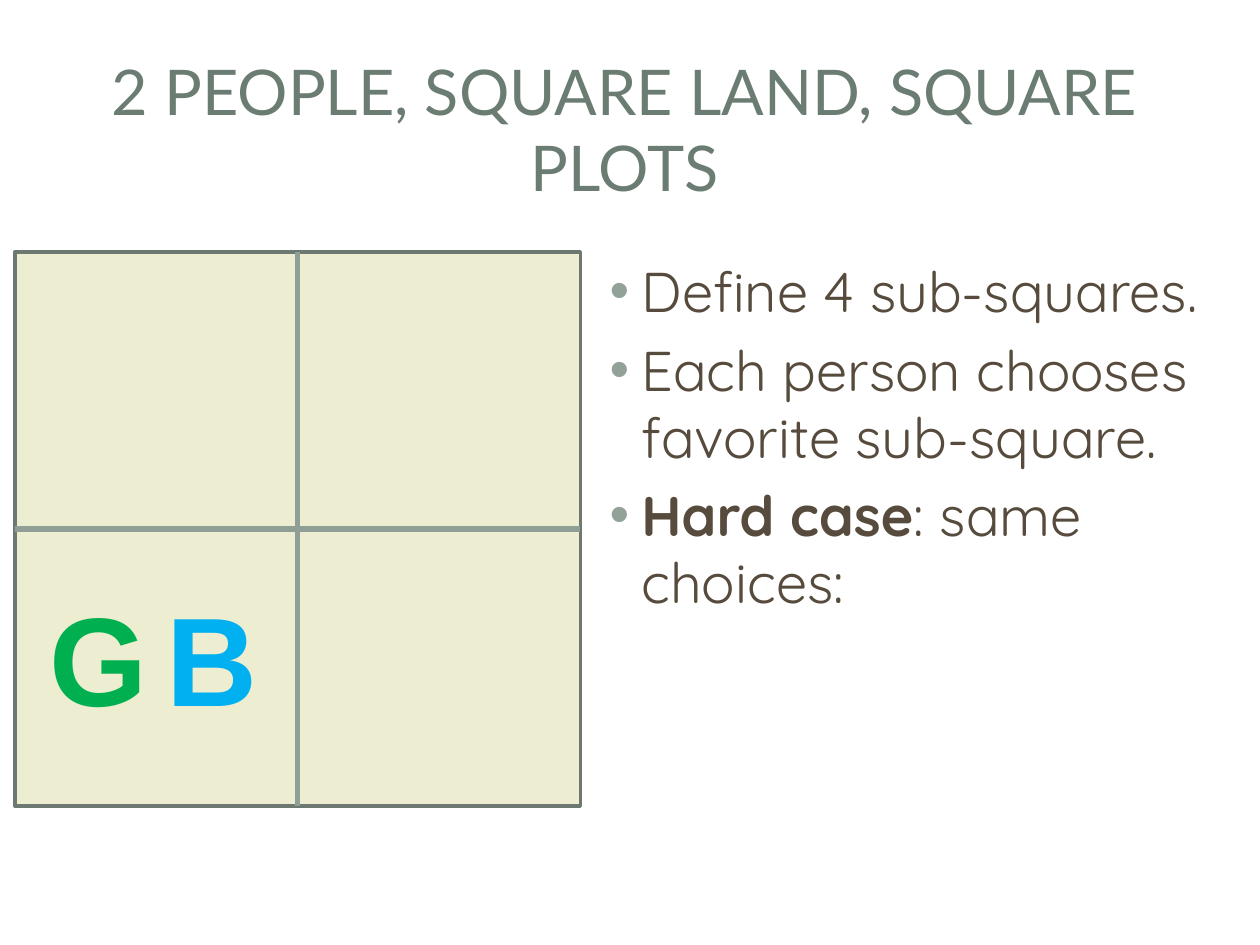
"""Build the slide on dividing square land between two people."""
from lxml import etree
from pptx import Presentation
from pptx.dml.color import RGBColor
from pptx.enum.shapes import MSO_CONNECTOR, MSO_SHAPE
from pptx.enum.text import MSO_ANCHOR, PP_ALIGN
from pptx.oxml.ns import qn
from pptx.util import Cm, Pt

STRAIGHT = MSO_CONNECTOR.STRAIGHT
RECTANGLE = MSO_SHAPE.RECTANGLE
MIDDLE, TOP = MSO_ANCHOR.MIDDLE, MSO_ANCHOR.TOP
CENTER, LEFT = PP_ALIGN.CENTER, PP_ALIGN.LEFT

COLORS = {
    "title": "6B7D72", "body": "564B3C", "bullet": "93A299",
    "land": "ECEDD1", "border": "6D7871", "divider": "8F9F96",
    "green": "00B050", "blue": "00B0F0",
}
TITLE = "2 PEOPLE, SQUARE LAND, SQUARE PLOTS"
STEPS = [
    [("Define 4 sub-squares.", False)],
    [("Each person chooses favorite sub-square.", False)],
    [("Hard case", True), (": same choices:", False)],
]
CHOICES = [("G", "green", 0.74, 2.51), ("B", "blue", 3.1, 2.36)]
LAND_LEFT, LAND_TOP, LAND_WIDTH, LAND_HEIGHT = 0.3, 5.08, 11.4, 11.17


def color(name):
    return RGBColor.from_string(COLORS[name])


def add_frame(left, top, width, height, anchor=TOP, wrap=True):
    box = slide.shapes.add_textbox(Cm(left), Cm(top), Cm(width), Cm(height))
    frame = box.text_frame
    frame.word_wrap = wrap
    frame.vertical_anchor = anchor
    return frame


def add_run(paragraph, text, font, size, color_name, bold=False):
    run = paragraph.add_run()
    run.text = text
    run.font.name, run.font.size, run.font.bold = font, Pt(size), bold
    run.font.color.rgb = color(color_name)


def add_bullet(paragraph):
    properties = paragraph._p.get_or_add_pPr()
    properties.set("marL", str(Cm(0.97)))
    properties.set("indent", str(-Cm(0.64)))
    bullet_color = etree.SubElement(properties, qn("a:buClr"))
    etree.SubElement(bullet_color, qn("a:srgbClr"), val=COLORS["bullet"])
    etree.SubElement(properties, qn("a:buFont"), typeface="Arial")
    etree.SubElement(properties, qn("a:buChar"), char="•")


def add_divider(x1, y1, x2, y2):
    divider = slide.shapes.add_connector(STRAIGHT, Cm(x1), Cm(y1), Cm(x2), Cm(y2))
    divider.line.color.rgb = color("divider")
    divider.line.width = Pt(3)
    etree.SubElement(divider._element.spPr, qn("a:effectLst"))


presentation = Presentation()
presentation.slide_width, presentation.slide_height = Cm(25.4), Cm(19.05)
slide = presentation.slides.add_slide(presentation.slide_layouts[6])

land = slide.shapes.add_shape(
    RECTANGLE, Cm(LAND_LEFT), Cm(LAND_TOP), Cm(LAND_WIDTH), Cm(LAND_HEIGHT))
land.shadow.inherit = False
land.fill.solid()
land.fill.fore_color.rgb = color("land")
land.line.color.rgb = color("border")
land.line.width = Pt(2)

heading = add_frame(0.3, 1.14, 24.59, 2.9, MIDDLE).paragraphs[0]
heading.alignment = CENTER
add_run(heading, TITLE, "Lato", 36, "title")

steps = add_frame(11.71, 5.05, 13.69, 13.67)
for index, parts in enumerate(STEPS):
    step = steps.add_paragraph() if index else steps.paragraphs[0]
    step.alignment = LEFT
    step.space_before = Pt(6.4)
    add_bullet(step)
    for text, bold in parts:
        add_run(step, text, "Quicksand", 32, "body", bold)

middle_x = LAND_LEFT + LAND_WIDTH / 2
middle_y = LAND_TOP + LAND_HEIGHT / 2
add_divider(middle_x, LAND_TOP, middle_x, LAND_TOP + LAND_HEIGHT)
add_divider(LAND_LEFT, middle_y, LAND_LEFT + LAND_WIDTH, middle_y)

for letter, color_name, left, width in CHOICES:
    choice = add_frame(left, 11.86, width, 3.18, wrap=False).paragraphs[0]
    choice.line_spacing = 0.93
    add_run(choice, letter, "Arial", 72, color_name, True)

presentation.save("out.pptx")
